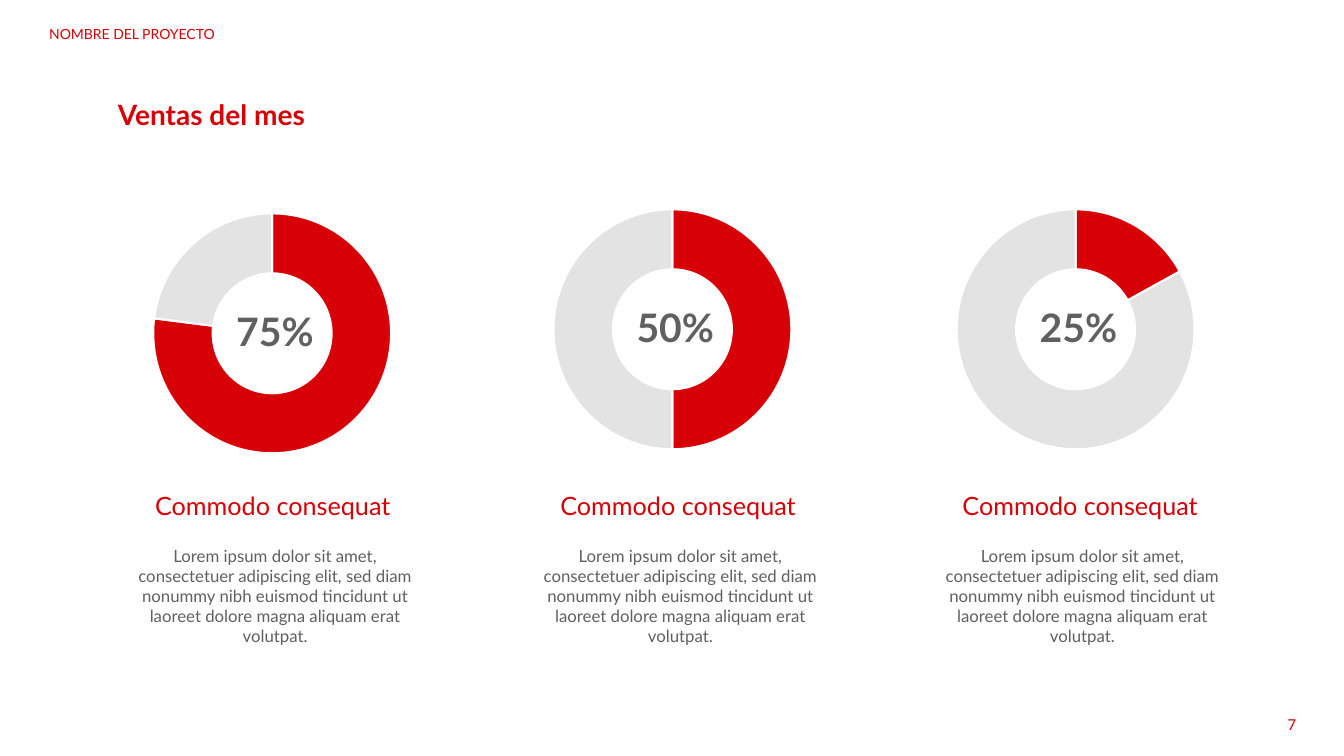
import pptx
import pptx.chart.data
import pptx.dml.color
import pptx.enum.chart
import pptx.enum.text
import pptx.oxml
import pptx.util

Pt = pptx.util.Pt
Align = pptx.enum.text.PP_ALIGN
COLORS = {"red": "D70007", "light": "E3E3E3", "text": "606060", "white": "FFFFFF"}
COLUMN_WIDTH = 226
CHART_SIZE = (171.4, 175.7)
HEADING = "Commodo consequat"
BODY = (
    "Lorem ipsum dolor sit amet, consectetuer adipiscing elit, sed diam nonummy "
    "nibh euismod tincidunt ut laoreet dolore magna aliquam erat volutpat."
)
# column left, chart left, chart top, share in red, label
COLUMNS = [
    (83.5, 108.7, 151.2, 77, "75%"),
    (373, 394.6, 148.3, 50, "50%"),
    (660.2, 682.6, 148.3, 17, "25%"),
]


def rgb(name):
    return pptx.dml.color.RGBColor.from_string(COLORS[name])


def write(shape, text, size, color, bold=False, align=Align.LEFT, font_name="Lato"):
    frame = shape.text_frame
    frame.word_wrap = True
    frame.auto_size = pptx.enum.text.MSO_AUTO_SIZE.NONE
    frame.vertical_anchor = pptx.enum.text.MSO_ANCHOR.TOP
    paragraph = frame.paragraphs[0]
    paragraph.alignment = align
    run = paragraph.add_run()
    run.text = text
    run.font.name = font_name
    run.font.size = Pt(size)
    run.font.bold = bold
    run.font.color.rgb = rgb(color)


def add_text(slide, box, text, size, color, **style):
    shape = slide.shapes.add_textbox(*map(Pt, box))
    write(shape, text, size, color, **style)
    return shape


def fill_plot_area(chart):
    """Stretch the ring over the whole chart frame and set its hole."""
    plot_area = chart.plots[0]._element.getparent()
    for layout in plot_area.findall(pptx.oxml.ns.qn("c:layout")):
        plot_area.remove(layout)
    plot_area.insert(0, pptx.oxml.parse_xml(
        f'<c:layout {pptx.oxml.ns.nsdecls("c")}><c:manualLayout>'
        '<c:layoutTarget val="inner"/><c:xMode val="edge"/><c:yMode val="edge"/>'
        '<c:x val="0"/><c:y val="0"/><c:w val="1"/><c:h val="0.99"/>'
        "</c:manualLayout></c:layout>"))
    hole = plot_area.find(".//" + pptx.oxml.ns.qn("c:holeSize"))
    hole.set("val", "65")


def add_ring(slide, left, top, share, label):
    data = pptx.chart.data.CategoryChartData()
    data.categories = ["1", "2"]
    data.add_series("Series 1", [share, 100 - share])
    chart = slide.shapes.add_chart(
        pptx.enum.chart.XL_CHART_TYPE.DOUGHNUT,
        Pt(left), Pt(top), *map(Pt, CHART_SIZE), data).chart
    chart.has_legend = False
    chart.has_title = False
    chart.font.name = "Calibri"
    chart.font.size = Pt(10)
    chart.plots[0].vary_by_categories = True
    fill_plot_area(chart)
    for index, color in enumerate(("red", "light")):
        point_format = chart.plots[0].series[0].points[index].format
        point_format.fill.solid()
        point_format.fill.fore_color.rgb = rgb(color)
        point_format.line.color.rgb = rgb("white")
        point_format.line.width = Pt(1.5)
    add_text(slide, (left + 53, top + 65, 72, 41), label, 28, "text", bold=True)


def add_column(slide, left, chart_left, chart_top, share, label):
    add_ring(slide, chart_left, chart_top, share, label)
    add_text(slide, (left + 20.2, 347, 195, 29), HEADING, 18, "red")
    add_text(slide, (left, 386, COLUMN_WIDTH, 66), BODY, 12, "text", align=Align.CENTER)


def add_header(slide):
    add_text(slide, (28, 15, 165, 19.5), "NOMBRE DEL PROYECTO", 10, "red")
    title = slide.shapes.title
    title.left, title.top, title.width, title.height = map(Pt, (77, 66.2, 270, 31.5))
    write(title, "Ventas del mes", 20, "red", bold=True)


def add_page_number(slide):
    number = add_text(slide, (717, 502.5, 216, 29), "7", 12, "red",
                      align=Align.RIGHT, font_name="Calibri")
    number.text_frame.vertical_anchor = pptx.enum.text.MSO_ANCHOR.MIDDLE


def main():
    presentation = pptx.Presentation()
    presentation.slide_width = Pt(960)
    presentation.slide_height = Pt(540)
    slide = presentation.slides.add_slide(presentation.slide_layouts[5])
    add_header(slide)
    for column in COLUMNS:
        add_column(slide, *column)
    add_page_number(slide)
    presentation.save("out.pptx")


if __name__ == "__main__":
    main()
